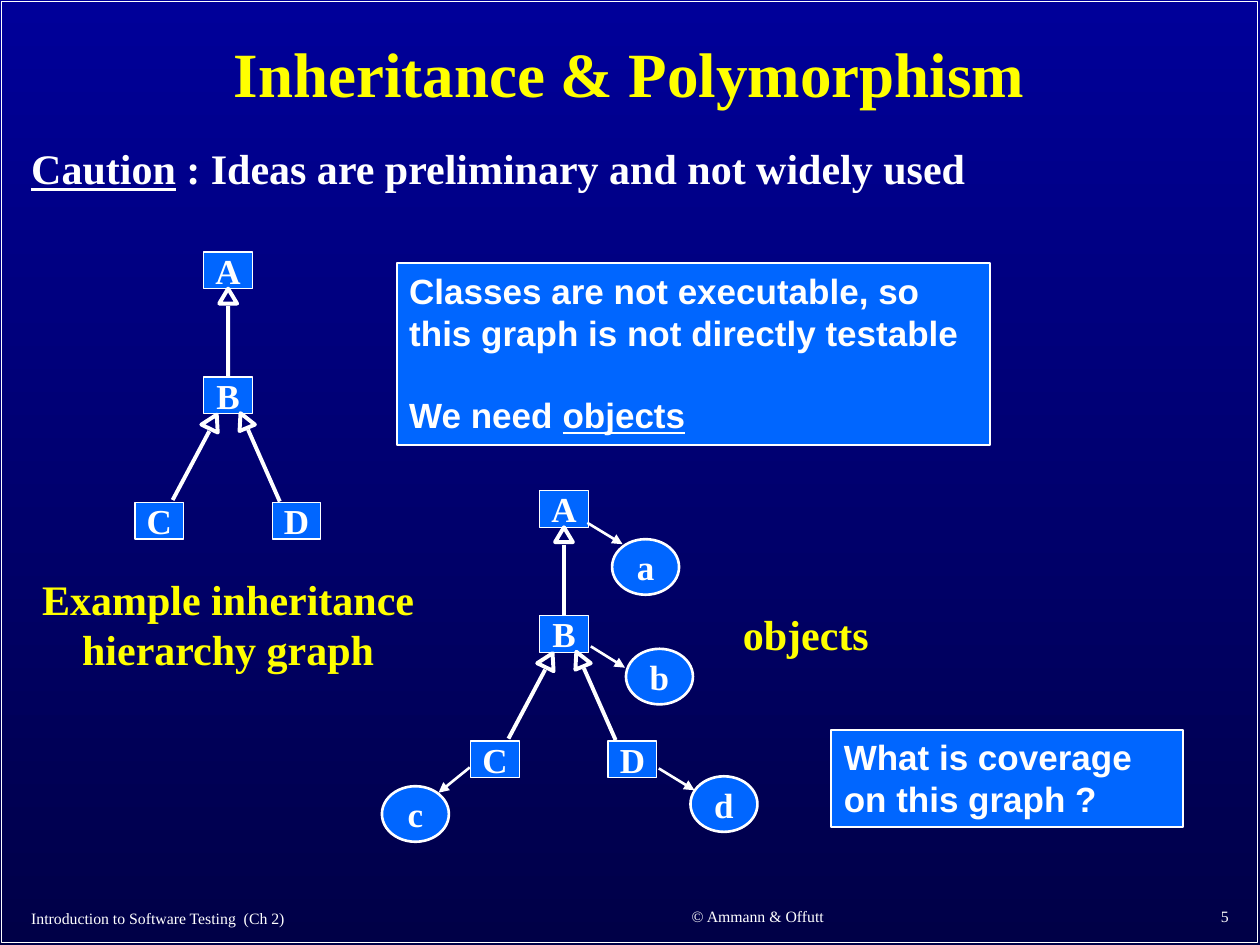
"""Build the slide on inheritance and polymorphism with its two class graphs."""
from lxml import etree
from pptx import Presentation
from pptx.dml.color import RGBColor
from pptx.enum.shapes import MSO_CONNECTOR, MSO_SHAPE
from pptx.enum.text import MSO_ANCHOR, PP_ALIGN
from pptx.oxml.ns import qn
from pptx.util import Cm, Pt

LEFT, CENTER, RIGHT = PP_ALIGN.LEFT, PP_ALIGN.CENTER, PP_ALIGN.RIGHT
TOP, MIDDLE = MSO_ANCHOR.TOP, MSO_ANCHOR.MIDDLE
RECT, OVAL = MSO_SHAPE.RECTANGLE, MSO_SHAPE.OVAL
STRAIGHT = MSO_CONNECTOR.STRAIGHT
WHITE, YELLOW, BLUE = "FFFFFF", "FFFF00", "0066FF"
rgb = RGBColor.from_string


def write(sp, text, size=20, font="Times New Roman", color=WHITE, bold=True, align=LEFT,
          anchor=TOP, inset=0.25, spacing=None, gap=0, underline=None, border=None):
    if border:
        sp.shadow.inherit = False
        sp.fill.solid()
        sp.fill.fore_color.rgb = rgb(BLUE)
        sp.line.color.rgb = rgb(WHITE)
        sp.line.width = Pt(border)
    tf = sp.text_frame
    tf.word_wrap = True
    tf.vertical_anchor = anchor
    tf.margin_left = tf.margin_right = Cm(inset)
    tf.margin_top = tf.margin_bottom = Cm(inset / 2)
    for i, line in enumerate(text.split("\n")):
        p = tf.add_paragraph() if i else tf.paragraphs[0]
        p.alignment = align
        p.line_spacing = spacing
        p.space_before = Pt(gap if i else 0)
        for part in line.partition(underline) if underline else [line]:
            if part:
                r = p.add_run()
                r.text = part
                r.font.size = Pt(size)
                r.font.name = font
                r.font.bold = bold
                r.font.underline = part == underline
                r.font.color.rgb = rgb(color)


def connect(x1, y1, x2, y2, width, arrow=False):
    cn = s.shapes.add_connector(STRAIGHT, Cm(x1), Cm(y1), Cm(x2), Cm(y2))
    cn.line.color.rgb = rgb(WHITE)
    cn.line.width = Pt(width)
    if arrow:
        etree.SubElement(cn.line._get_or_add_ln(), qn("a:tailEnd"), type="triangle")
    etree.SubElement(cn._element.spPr, qn("a:effectLst"))
    return cn


prs = Presentation()
prs.slide_width, prs.slide_height = Cm(25.4), Cm(19.05)
s = prs.slides.add_slide(prs.slide_layouts[5])

bg = s.background.fill
bg.gradient()
bg.gradient_angle = 270
for stop, color in zip(bg.gradient_stops, ["000099", "000047"]):
    stop.color.rgb = rgb(color)

frame = s.shapes.add_shape(RECT, Cm(0.03), Cm(0.03), Cm(25.32), Cm(18.97))
frame.shadow.inherit = False
frame.fill.background()
frame.line.color.rgb = rgb(WHITE)
frame.line.width = Pt(1)

title = s.shapes.title
title.left, title.top, title.width, title.height = Cm(0.33), Cm(0.28), Cm(24.71), Cm(2.54)
write(title, "Inheritance & Polymorphism", size=36, color=YELLOW, align=CENTER,
      anchor=MIDDLE, spacing=0.9)

footer = dict(size=9, bold=False, anchor=MIDDLE)
label = dict(size=24, color=YELLOW, align=CENTER)
texts = [
    (0.38, 2.87, 24.64, 1.4, "Caution : Ideas are preliminary and not widely used",
     dict(size=24, spacing=0.9, underline="Caution")),
    (0.46, 11.43, 8.28, 2.29, "Example inheritance hierarchy graph", label),
    (14.53, 12.14, 3.43, 1.27, "objects", label),
    (0.38, 18.03, 10.44, 0.97, "Introduction to Software Testing  (Ch 2)", footer),
    (11.25, 17.98, 8.05, 0.99, "© Ammann & Offutt", dict(footer, align=CENTER)),
    (19.74, 17.96, 5.28, 1.02, "5", dict(footer, align=RIGHT)),
]
for x, y, w, h, text, fmt in texts:
    write(s.shapes.add_textbox(Cm(x), Cm(y), Cm(w), Cm(h)), text, **fmt)

notes = [
    (8, 5.31, 11.96, 3.66,
     "Classes are not executable, so this graph is not directly testable\nWe need objects"),
    (16.76, 14.71, 7.09, 1.96, "What is coverage on this graph ?"),
]
for x, y, w, h, text in notes:
    sp = s.shapes.add_shape(RECT, Cm(x), Cm(y), Cm(w), Cm(h))
    write(sp, text, font="Arial", gap=23, underline="objects", border=1)

node = dict(align=CENTER, anchor=MIDDLE, inset=0)
classes = [("A", 4.11, 5.08), ("B", 4.11, 7.6), ("C", 2.72, 10.13), ("D", 5.49, 10.13)]
heads = [
    [(4.42, 6.12), (4.78, 6.12), (4.6, 5.82)],
    [(4.06, 8.56), (4.39, 8.72), (4.37, 8.36)],
    [(4.83, 8.69), (5.14, 8.56), (4.85, 8.33)],
]
stems = [(4.6, 7.6, 4.6, 6.17), (3.48, 10.08, 4.22, 8.69), (5.64, 10.11, 5, 8.66)]
for dx, dy in [(0, 0), (6.77, 4.81)]:
    boxes = {}
    for name, x, y in classes:
        boxes[name] = s.shapes.add_shape(RECT, Cm(x + dx), Cm(y + dy), Cm(0.98), Cm(0.74))
        write(boxes[name], name, border=0.75, **node)
    for head in heads:
        points = [(Cm(x + dx), Cm(y + dy)) for x, y in head]
        fb = s.shapes.build_freeform(*points[0])
        fb.add_line_segments(points[1:], close=True)
        tip = fb.convert_to_shape()
        tip.shadow.inherit = False
        tip.fill.background()
        tip.line.color.rgb = rgb(WHITE)
        tip.line.width = Pt(2.25)
    links = [connect(x1 + dx, y1 + dy, x2 + dx, y2 + dy, 2.25) for x1, y1, x2, y2 in stems]
    links[0].begin_connect(boxes["B"], 0)

objects = [
    ("a", 12.34, 10.87, (11.84, 10.54, 12.55, 10.97)),
    ("b", 12.62, 13.08, (11.91, 13.03, 12.6, 13.46)),
    ("c", 7.7, 15.85, (9.47, 15.47, 8.84, 15.98)),
    ("d", 13.92, 15.65, (13.28, 15.49, 14, 15.93)),
]
for name, x, y, ends in objects:
    sp = s.shapes.add_shape(OVAL, Cm(x), Cm(y), Cm(1.35), Cm(1.12))
    write(sp, name, border=1.5, **node)
    connect(*ends, 1.5, arrow=True)

prs.save("out.pptx")
